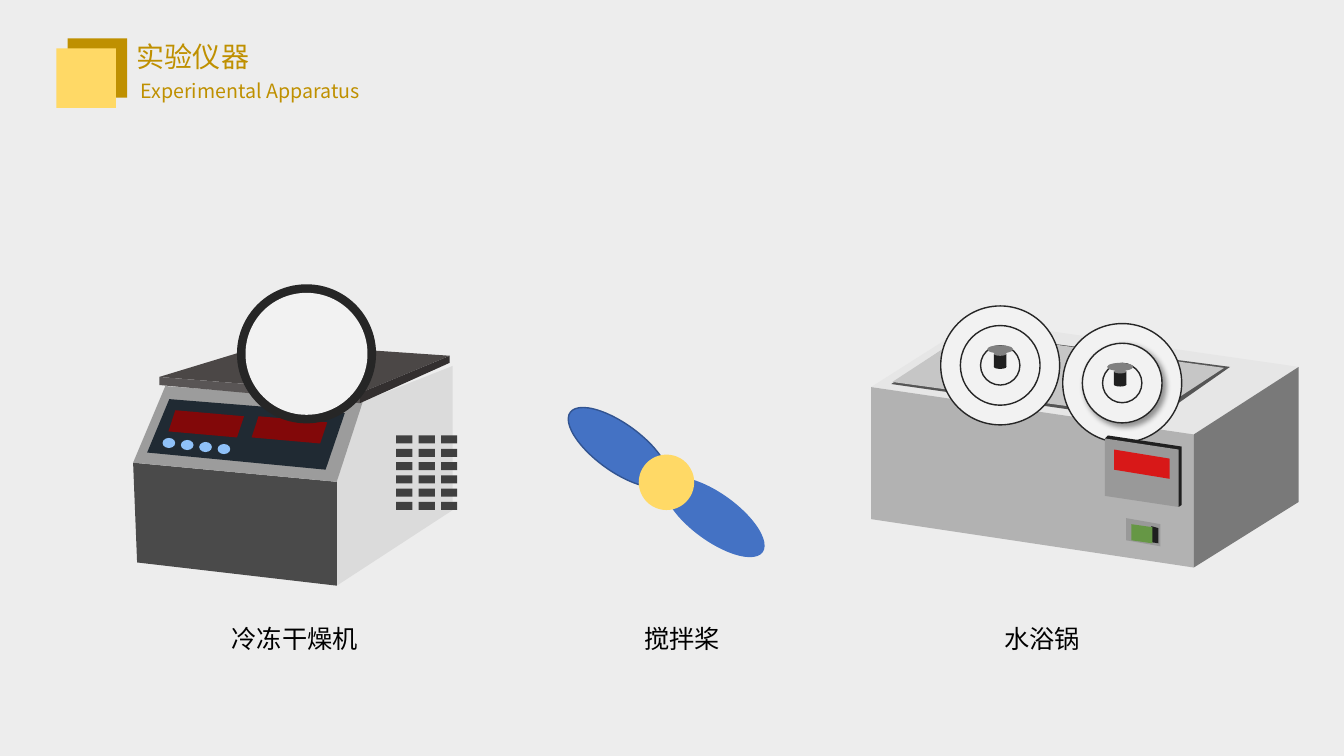
import pptx
import pptx.dml.color
import pptx.enum.shapes
import pptx.enum.text
import pptx.oxml
import pptx.util

WIDTH, HEIGHT = 13.33, 7.5
CELL = 0.1  # side of one grid square, inches
OVAL = pptx.enum.shapes.MSO_SHAPE.OVAL
RECTANGLE = pptx.enum.shapes.MSO_SHAPE.RECTANGLE

COLOURS = {
    "page": "EDEDED", "gold": "BF9000", "yellow": "FFD966", "black": "000000",
    "side": "DBDBDB", "front": "4A4A4A", "sill": "9C9C9C", "lid": "4B4746",
    "lid_front": "595555", "lid_side": "332F2F", "display": "202A33",
    "screen": "820809", "button": "8FC1F8", "ring": "262626", "white": "F2F2F2",
    "vent": "404040", "blade": "4472C4", "blade_edge": "325491",
    "bath_top": "E6E6E6", "bath_front": "B2B2B2", "bath_side": "797979",
    "rim": "555555", "basin": "C6C6C6", "stem": "1F1F1F", "cap": "808080",
    "control": "999999", "red": "D81818", "green": "669745",
}


def grid(cells):
    return pptx.util.Inches(cells * CELL)


def rgb(name):
    return pptx.dml.color.RGBColor.from_string(COLOURS[name])


def paint(shape, fill, edge=None):
    shape.shadow.inherit = False
    shape.fill.solid()
    shape.fill.fore_color.rgb = rgb(fill)
    if edge:
        shape.line.color.rgb = rgb(edge)
        shape.line.width = pptx.util.Pt(1)
    else:
        shape.line.fill.background()
    return shape


def add_centred(group, kind, centre, size, fill, edge=None):
    """Draw a preset shape around its centre, in grid squares."""
    (x, y), (width, height) = centre, size
    shape = group.shapes.add_shape(kind, grid(x - width / 2), grid(y - height / 2),
                                   grid(width), grid(height))
    return paint(shape, fill, edge)


def add_face(group, corners, fill, edge=None):
    """Draw a polygon through corners, in grid squares."""
    points = [(grid(x), grid(y)) for x, y in corners]
    builder = group.shapes.build_freeform(*points[0], scale=1.0)
    builder.add_line_segments(points[1:], close=True)
    return paint(builder.convert_to_shape(), fill, edge)


def add_label(shapes, place, text, size, colour, font, wrap=True):
    box = shapes.add_textbox(*(grid(length) for length in place))
    frame = box.text_frame
    frame.word_wrap = wrap
    frame.auto_size = pptx.enum.text.MSO_AUTO_SIZE.SHAPE_TO_FIT_TEXT
    frame.text = text
    span = frame.paragraphs[0].runs[0]
    span.font.size = pptx.util.Pt(size)
    span.font.name = font
    span.font.color.rgb = rgb(colour)
    east_asian = pptx.oxml.parse_xml(
        '<a:ea xmlns:a="http://schemas.openxmlformats.org/drawingml/2006/main" '
        'typeface="Noto Sans CJK SC"/>')
    span.font.fill  # colour stays ahead of the typefaces
    span.font._element.append(east_asian)


def add_shadow(shape):
    effects = pptx.oxml.parse_xml(
        '<a:effectLst xmlns:a="http://schemas.openxmlformats.org/drawingml/2006/main">'
        '<a:outerShdw blurRad="50800" dist="38100" dir="2700000" algn="tl" '
        'rotWithShape="0"><a:srgbClr val="000000"><a:alpha val="40000"/></a:srgbClr>'
        '</a:outerShdw></a:effectLst>')
    shape._element.spPr.replace(shape._element.spPr.effectLst, effects)


def draw_heading(page):
    group = page.shapes.add_group_shape()
    for centre, fill in (((9.65, 6.75), "gold"), ((8.55, 7.75), "yellow")):
        add_centred(group, RECTANGLE, centre, (5.9, 5.9), fill)
    add_label(group.shapes, (12.6, 3.4, 38, 4.4), "实验仪器", 20, "gold", "Arial")
    add_label(group.shapes, (12.5, 7.3, 25.8, 3.4), " Experimental Apparatus", 14,
              "gold", "Noto Sans CJK SC")


def draw_freeze_dryer(page):
    group = page.shapes.add_group_shape()
    faces = [
        ("side", [(35.8, 39.9), (44.9, 36.3), (44.9, 50.6), (33.4, 58.1), (33.4, 47.8)]),
        ("front", [(13.2, 45.9), (33.4, 47.8), (33.4, 58.1), (13.6, 55.8)]),
        ("sill", [(16.4, 38.3), (36, 39.8), (33.4, 47.8), (13.2, 45.9)]),
        ("lid", [(15.8, 37.4), (25, 34.6), (37.3, 34.8), (44.6, 35.3), (35.7, 39)]),
        ("lid_front", [(15.8, 37.4), (35.7, 39), (35.7, 40), (15.8, 38.2)]),
        ("lid_side", [(35.7, 39), (44.6, 35.3), (44.6, 36), (35.7, 40)]),
        ("display", [(16.8, 39.6), (34.2, 41), (32.3, 46.6), (14.6, 44.9)]),
    ]
    for fill, corners in faces:
        add_face(group, corners, fill)
    screen = [(17.4, 40.7), (24.2, 41.3), (23.5, 43.4), (16.7, 42.8)]
    for right, down in ((0, 0), (8.25, 0.6)):
        add_face(group, [(x + right, y + down) for x, y in screen], "screen")
    for number in range(4):
        add_centred(group, OVAL, (16.75 + 1.82 * number, 43.95 + 0.2 * number),
                    (1.25, 1), "button")
    for size, fill in ((13.8, "ring"), (12.1, "white")):
        add_centred(group, OVAL, (30.4, 35.1), (size, size), fill)
    for row in range(6):
        for column in range(3):
            add_centred(group, RECTANGLE, (40.1 + 2.23 * column, 43.6 + 1.32 * row),
                        (1.6, 0.8), "vent")


def draw_propeller(page):
    group = page.shapes.add_group_shape()
    hub_x, hub_y = 66.1, 47.85
    for side, edge in ((1, None), (-1, "blade_edge")):
        blade = add_centred(group, OVAL, (hub_x + 4.77 * side, hub_y + 3.47 * side),
                            (11.8, 4.7), "blade", edge)
        blade.rotation = 36
    add_centred(group, OVAL, (hub_x, hub_y), (5.5, 5.5), "yellow")


def draw_lid(group, x, y, raised):
    """Draw three rings with a knob; a raised lid casts a shadow."""
    for size in (11.8, 7.9, 3.9):
        ring = add_centred(group, OVAL, (x, y), (size, size), "white", "ring")
        if raised and size == 7.9:
            add_shadow(ring)
    knob_x = x - 0.2 if raised else x
    knob_y = y - 1.6
    add_centred(group, OVAL, (knob_x, knob_y), (2.6, 0.8), "cap")
    add_centred(group, RECTANGLE, (knob_x, knob_y + 1.1), (1.25, 1.3), "stem")
    for down, fill in ((0.45, "cap"), (1.75, "stem")):
        add_centred(group, OVAL, (knob_x, knob_y + down), (1.25, 0.4), fill)


def draw_water_bath(page):
    group = page.shapes.add_group_shape()
    walls = [
        ("bath_top", [(86.4, 38.4), (96.8, 31.8), (128.8, 36.4), (118.4, 43.1)]),
        ("bath_front", [(86.4, 38.4), (118.4, 43.1), (118.4, 56.3), (86.4, 51.5)]),
        ("bath_side", [(118.4, 43.1), (128.8, 36.4), (128.8, 49.8), (118.4, 56.3)]),
        ("rim", [(88.4, 38.1), (96, 33), (122, 36.4), (114.3, 41.8)]),
        ("basin", [(88.5, 37.9), (96, 33), (121.4, 36.5), (113.9, 41.4)]),
    ]
    controls = [
        ("stem", [(109.6, 43.5), (109.9, 43.2), (117.2, 44.3), (117.2, 50.1),
                  (116.9, 50.3)]),
        ("control", [(109.6, 43.5), (116.9, 44.6), (116.9, 50.3), (109.6, 49.2)]),
        ("red", [(110.5, 44.6), (116, 45.5), (116, 47.5), (110.5, 46.6)]),
        ("control", [(111.7, 51.4), (115.1, 52), (115.1, 54.2), (111.7, 53.6)]),
        ("stem", [(114.2, 52.2), (114.9, 52.4), (114.9, 53.9), (114.2, 53.8)]),
        ("green", [(112.2, 52), (114.3, 52.3), (114.3, 53.9), (112.2, 53.6)]),
    ]
    for fill, corners in walls:
        add_face(group, corners, fill)
    draw_lid(group, 99.2, 36.25, raised=False)
    draw_lid(group, 111.3, 38, raised=True)
    for fill, corners in controls:
        add_face(group, corners, fill)


def main():
    deck = pptx.Presentation()
    deck.slide_width = pptx.util.Inches(WIDTH)
    deck.slide_height = pptx.util.Inches(HEIGHT)
    page = deck.slides.add_slide(deck.slide_layouts[6])
    page.background.fill.solid()
    page.background.fill.fore_color.rgb = rgb("page")
    draw_freeze_dryer(page)
    draw_propeller(page)
    draw_water_bath(page)
    for left, width, name in ((22, 14.6, "冷冻干燥机"), (62.9, 9.6, "搅拌桨"),
                              (98.6, 9.6, "水浴锅")):
        add_label(page.shapes, (left, 61.3, width, 4), name, 18, "black",
                  "Noto Sans CJK SC", wrap=False)
    draw_heading(page)
    deck.save("out.pptx")


if __name__ == "__main__":
    main()
